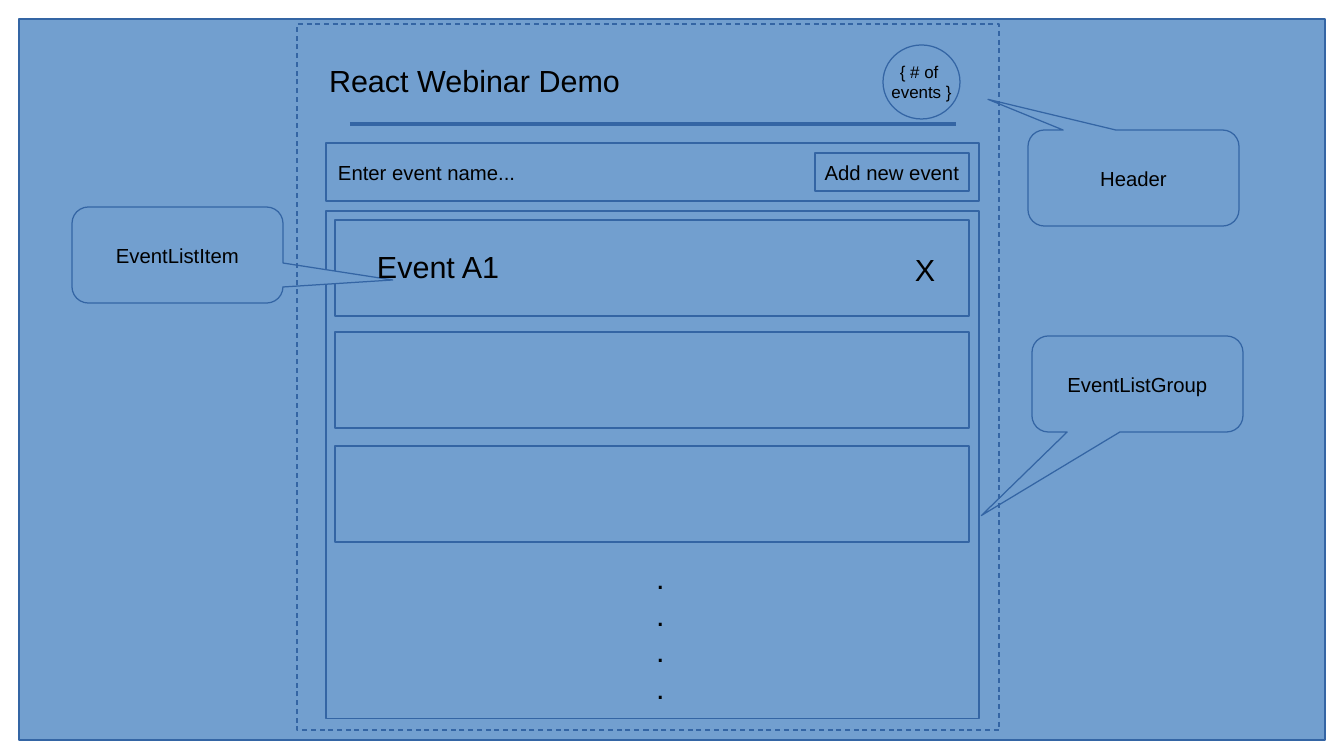
from lxml import etree
from pptx import Presentation
from pptx import util as u
from pptx.dml.color import RGBColor
from pptx.enum import dml, shapes, text
from pptx.oxml.ns import qn

PX = 914400 / 122
COLORS = {"panel": "729FCF", "outline": "3465A4", "ink": "000000"}
KINDS = shapes.MSO_SHAPE


def px(*lengths):
    return [u.Emu(round(length * PX)) for length in lengths]


def write(shape, words, size, align=text.PP_ALIGN.LEFT, anchor=text.MSO_ANCHOR.MIDDLE, wrap=False):
    frame = shape.text_frame
    frame.text = words
    frame.word_wrap = wrap
    frame.auto_size = text.MSO_AUTO_SIZE.NONE
    frame.vertical_anchor = anchor
    frame.margin_left, frame.margin_right, frame.margin_top, frame.margin_bottom = px(12, 12, 6, 6)
    for paragraph in frame.paragraphs:
        paragraph.alignment = align
        for run in paragraph.runs:
            run.font.size = u.Pt(size)
            run.font.name = "Arial"
            run.font.color.rgb = RGBColor.from_string(COLORS["ink"])


prs = Presentation()
prs.slide_width, prs.slide_height = px(1344, 756)
slide = prs.slides.add_slide(prs.slide_layouts[5])
tree = slide.shapes

LEFT, CENTER = text.PP_ALIGN.LEFT, text.PP_ALIGN.CENTER
ROUNDED = KINDS.ROUNDED_RECTANGULAR_CALLOUT
mockup = [
    (KINDS.RECTANGLE, (19, 19, 1306, 721), "", 12, LEFT, []),
    (KINDS.OVAL, (883, 45, 77, 74), "{ # of \vevents }", 10, CENTER, []),
    (KINDS.RECTANGLE, (326, 143, 653, 58), "Enter event name...", 12, LEFT, []),
    (KINDS.RECTANGLE, (815, 153, 154, 38), "Add new event", 12, CENTER, []),
    (KINDS.RECTANGLE, (326, 211, 653, 508), "", 12, LEFT, []),
    (ROUNDED, (1032, 336, 211, 96), "EventListGroup", 12, CENTER, [-0.74, 1.37, 0.17]),
    (ROUNDED, (1028, 130, 211, 96), "Header", 12, CENTER, [-0.69, -0.82, 0.17]),
]
for row_top in (220, 332, 446):
    mockup.append((KINDS.RECTANGLE, (335, row_top, 634, 96), "", 12, LEFT, []))
mockup.append((ROUNDED, (72, 207, 211, 96), "EventListItem", 12, CENTER, [1.02, 0.26, 0.17]))

for kind, place, words, size, align, adjustments in mockup:
    part = tree.add_shape(kind, *px(*place))
    part.shadow.inherit = False
    part.fill.solid()
    part.fill.fore_color.rgb = RGBColor.from_string(COLORS["panel"])
    part.line.color.rgb = RGBColor.from_string(COLORS["outline"])
    part.line.width = 0
    for index, value in enumerate(adjustments):
        part.adjustments[index] = value
    if words:
        write(part, words, size, align)

app_frame = tree.add_shape(KINDS.RECTANGLE, *px(297, 24, 702, 706))
app_frame.shadow.inherit = False
app_frame.fill.background()
app_frame.line.color.rgb = RGBColor.from_string(COLORS["outline"])
app_frame.line.width = 0
app_frame.line.dash_style = dml.MSO_LINE.DASH

header_rule = tree.add_connector(shapes.MSO_CONNECTOR.STRAIGHT, *px(350, 124, 956, 124))
header_rule.line.color.rgb = RGBColor.from_string(COLORS["outline"])
header_rule.line.width = 0
etree.SubElement(header_rule.element.spPr, qn("a:effectLst"))

heading = tree.title
heading.left, heading.top, heading.width, heading.height = px(317, 56, 327, 51)
write(heading, "React Webinar Demo", 18, anchor=text.MSO_ANCHOR.TOP, wrap=True)
tree.element.append(heading.element)

labels = [
    ((365, 242, 221, 46), "Event A1"),
    ((903, 245, 38, 46), "X"),
    ((644, 553, 38, 159), ".\n.\n.\n."),
]
for place, words in labels:
    label = tree.add_textbox(*px(*place))
    write(label, words, 18, anchor=text.MSO_ANCHOR.TOP, wrap=True)
    for paragraph in label.text_frame.paragraphs:
        paragraph.line_spacing = u.Pt(21.6)

prs.save("out.pptx")
